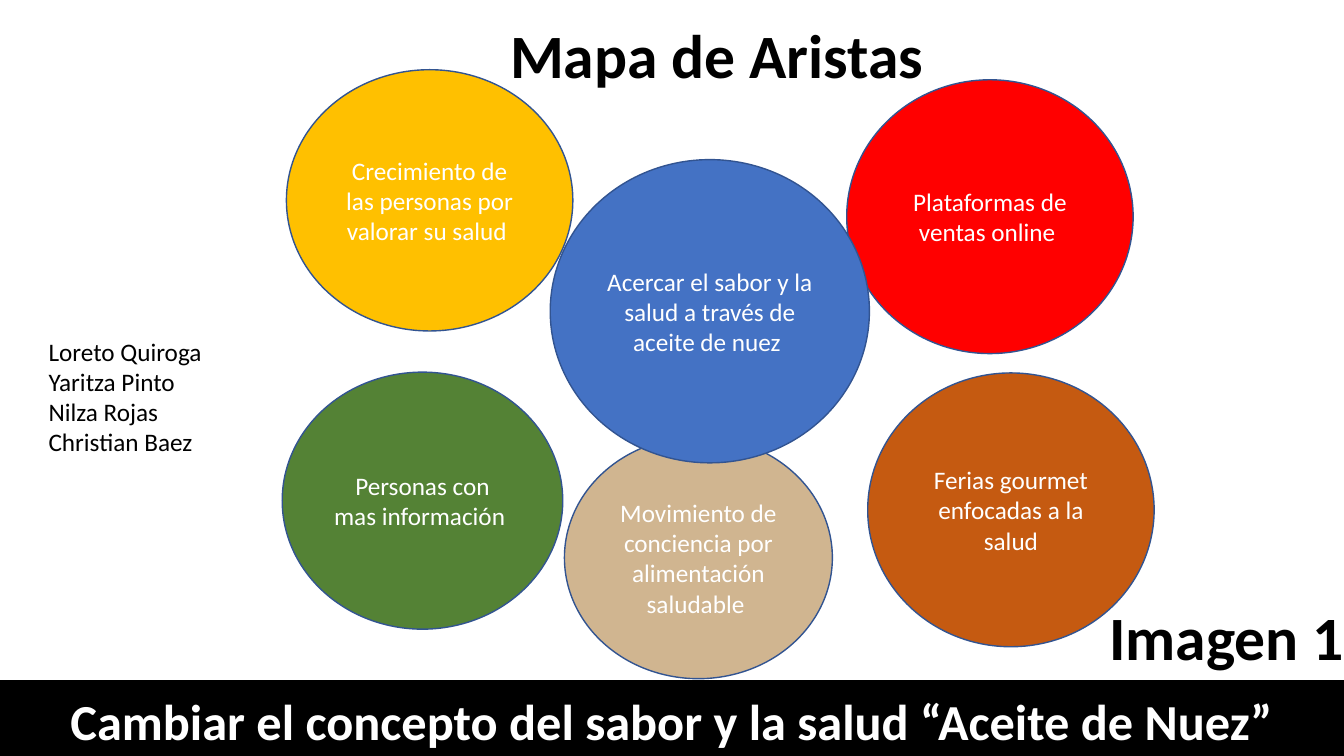
from collections import namedtuple

from pptx import Presentation
from pptx import util as u
from pptx.dml.color import RGBColor
from pptx.enum import shapes, text

COLS, ROWS = 160, 90
FONT = "Calibri"
COLORS = {
    "black": "000000",
    "white": "FFFFFF",
    "outline": "325491",
    "tan": "D0B590",
    "yellow": "FFC000",
    "red": "FF0000",
    "green": "548235",
    "brown": "C55A11",
    "blue": "4472C4",
}
Box = namedtuple("Box", "x y w h")

prs = Presentation()
prs.slide_width, prs.slide_height = u.Inches(13.33), u.Inches(7.5)
s = prs.slides.add_slide(prs.slide_layouts[6])


def rgb(name):
    return RGBColor.from_string(COLORS[name])


def emu(box):
    cw, rh = prs.slide_width / COLS, prs.slide_height / ROWS
    return [round(v) for v in (box.x * cw, box.y * rh, box.w * cw, box.h * rh)]


def write(sp, words, size, color, bold=False, anchor="MIDDLE", align="CENTER",
          spacing=1.0, wrap=True):
    tf = sp.text_frame
    tf.text = words
    tf.word_wrap = wrap
    tf.vertical_anchor = text.MSO_ANCHOR[anchor]
    for p in tf.paragraphs:
        p.alignment = text.PP_ALIGN[align]
        p.line_spacing = spacing
        for r in p.runs:
            r.font.name, r.font.size, r.font.bold = FONT, u.Pt(size), bold
            r.font.color.rgb = rgb(color)


def filled(kind, box, fill, line):
    sp = s.shapes.add_shape(kind, *emu(box))
    sp.shadow.inherit = False
    sp.fill.solid()
    sp.fill.fore_color.rgb = rgb(fill)
    sp.line.color.rgb = rgb(line)
    sp.line.width = u.Pt(1)
    return sp


def heading(box, words):
    sp = s.shapes.add_textbox(*emu(box))
    write(sp, words, 44, "black", bold=True, anchor="BOTTOM", spacing=0.9)


def footer(box, words):
    sp = filled(shapes.MSO_SHAPE.RECTANGLE, box, "black", "black")
    write(sp, words, 36, "white", bold=True, anchor="BOTTOM", spacing=0.9)


def team(box, names):
    sp = s.shapes.add_textbox(*emu(box))
    write(sp, "\n".join(names), 18, "black", anchor="TOP", align="LEFT", wrap=False)
    sp.text_frame.auto_size = text.MSO_AUTO_SIZE.SHAPE_TO_FIT_TEXT


def bubble_map(box, bubbles):
    for color, x, y, w, h, words in bubbles:
        place = Box(box.x + x, box.y + y, w, h)
        sp = filled(shapes.MSO_SHAPE.FLOWCHART_CONNECTOR, place, color, "outline")
        write(sp, words, 18, "white")


BUBBLES = [
    ("tan", 33.6, 43.7, 31.9, 28.8,
     "Movimiento de conciencia por alimentación saludable "),
    ("yellow", 0.5, 0, 34.1, 31.1,
     "Crecimiento de las personas por valorar su salud "),
    ("red", 67.2, 1.2, 34.1, 32.6, "Plataformas de ventas online "),
    ("green", 0, 36, 33.4, 30.6, "Personas con mas información "),
    ("brown", 69.7, 36.1, 34.1, 32.6, "Ferias gourmet enfocadas a la salud"),
    ("blue", 31.9, 10.7, 38, 36.1,
     "Acercar el sabor y la salud a través de aceite de nuez "),
]

heading(Box(26.2, 0.7, 120, 10.8), "Mapa de Aristas ")
footer(Box(0, 81, COLS, 9), "Cambiar el concepto del sabor y la salud “Aceite de Nuez”")
bubble_map(Box(33.6, 8.3, 103.8, 72.5), BUBBLES)
team(Box(4.6, 39.4, 21.6, 15.7),
     ["Loreto Quiroga ", "Yaritza Pinto ", "Nilza Rojas ", "Christian Baez"])
heading(Box(128.6, 70, 34.9, 10.8), "Imagen 1")

prs.save("out.pptx")
